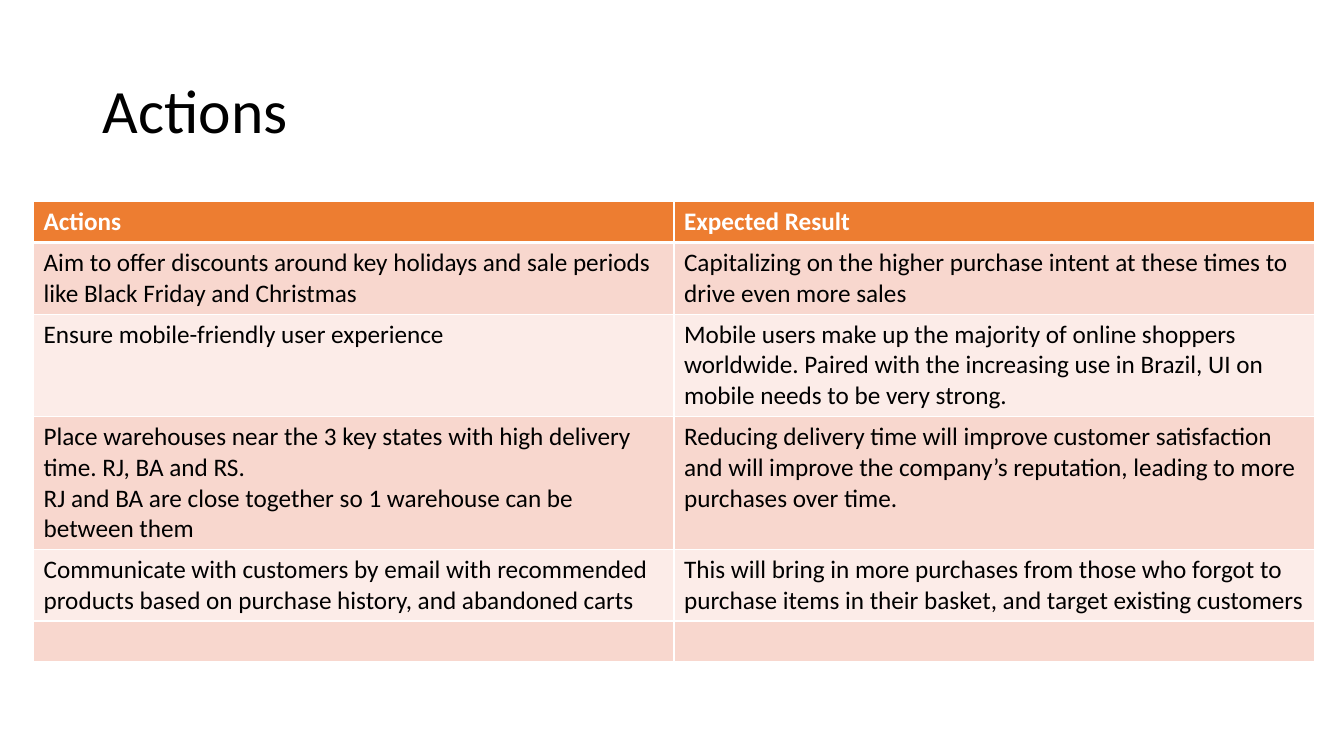
from dataclasses import dataclass

from lxml import etree
from pptx import Presentation
from pptx import util as u
from pptx.dml.color import RGBColor
from pptx.enum import text
from pptx.oxml.ns import qn
from pptx.table import _Cell
from pptx.text.text import TextFrame

COLOURS = {
    "ink": "000000",
    "paper": "FFFFFF",
    "header": "ED7D31",
    "odd": "F8D7CE",
    "even": "FCECE8",
}
SLIDE_WIDTH, SLIDE_HEIGHT = u.Inches(13.33), u.Inches(7.5)
LINE_HEIGHT, CELL_PADDING = 0.305, 0.1
THIN, THICK = 1, 3


@dataclass(frozen=True)
class ActionRow:
    action: str
    result: str
    lines: int


@dataclass(frozen=True)
class Area:
    """A rectangle in shares of the slide's width and height."""
    left: float
    top: float
    width: float
    height: float

    def lengths(self) -> tuple[int, int, int, int]:
        return (int(self.left * SLIDE_WIDTH), int(self.top * SLIDE_HEIGHT),
                int(self.width * SLIDE_WIDTH), int(self.height * SLIDE_HEIGHT))


TITLE_AREA = Area(0.069, 0.053, 0.863, 0.193)
TABLE_AREA = Area(0.025, 0.267, 0.953, 0.61)

ROWS = [
    ActionRow("Actions", "Expected Result", 1),
    ActionRow(
        "Aim to offer discounts around key holidays and sale periods like Black Friday and Christmas",
        "Capitalizing on the higher purchase intent at these times to drive even more sales", 2),
    ActionRow(
        "Ensure mobile-friendly user experience",
        "Mobile users make up the majority of online shoppers worldwide. Paired with the "
        "increasing use in Brazil, UI on mobile needs to be very strong.", 3),
    ActionRow(
        "Place warehouses near the 3 key states with high delivery time. RJ, BA and RS. \n"
        "RJ and BA are close together so 1 warehouse can be between them",
        "Reducing delivery time will improve customer satisfaction and will improve the "
        "company’s reputation, leading to more purchases over time.", 4),
    ActionRow(
        "Communicate with customers by email with recommended products based on purchase "
        "history, and abandoned carts",
        "This will bring in more purchases from those who forgot to purchase items in their "
        "basket, and target existing customers", 2),
    ActionRow("", "", 1),
]


def write(frame: TextFrame, words: str, *, size: float = 18, colour: str = "ink",
          bold: bool = False, spacing: float = 1.0) -> None:
    paragraph = frame.paragraphs[0]
    paragraph.text = words
    paragraph.line_spacing = spacing
    for run in paragraph.runs:
        run.font.name = "Calibri"
        run.font.size = u.Pt(size)
        run.font.bold = bold
        run.font.color.rgb = RGBColor.from_string(COLOURS[colour])


def set_borders(cell: _Cell, *, top: int, bottom: int) -> None:
    properties = cell._tc.get_or_add_tcPr()
    for side, points in {"L": THIN, "R": THIN, "T": top, "B": bottom}.items():
        line = etree.SubElement(properties, qn(f"a:ln{side}"), w=str(u.Pt(points)))
        solid = etree.SubElement(line, qn("a:solidFill"))
        etree.SubElement(solid, qn("a:srgbClr"), val=COLOURS["paper"])


def add_title(slide, words: str) -> None:
    frame = slide.shapes.add_textbox(*TITLE_AREA.lengths()).text_frame
    frame.word_wrap = True
    frame.vertical_anchor = text.MSO_ANCHOR.MIDDLE
    write(frame, words, size=44, spacing=0.9)


def add_actions(slide, rows: list[ActionRow]) -> None:
    actions = slide.shapes.add_table(len(rows), 2, *TABLE_AREA.lengths()).table
    actions.horz_banding = False
    for index, row in enumerate(rows):
        is_header = index == 0
        actions.rows[index].height = u.Inches(row.lines * LINE_HEIGHT + CELL_PADDING)
        band = "header" if is_header else ("even", "odd")[index % 2]
        for column, words in enumerate((row.action, row.result)):
            cell = actions.cell(index, column)
            set_borders(cell, top=THICK if index == 1 else THIN,
                        bottom=THICK if is_header else THIN)
            cell.fill.solid()
            cell.fill.fore_color.rgb = RGBColor.from_string(COLOURS[band])
            write(cell.text_frame, words, bold=is_header,
                  colour="paper" if is_header else "ink")


def main() -> None:
    deck = Presentation()
    deck.slide_width, deck.slide_height = SLIDE_WIDTH, SLIDE_HEIGHT
    slide = deck.slides.add_slide(deck.slide_layouts[6])
    add_title(slide, "Actions")
    add_actions(slide, ROWS)
    deck.save("out.pptx")


if __name__ == "__main__":
    main()
